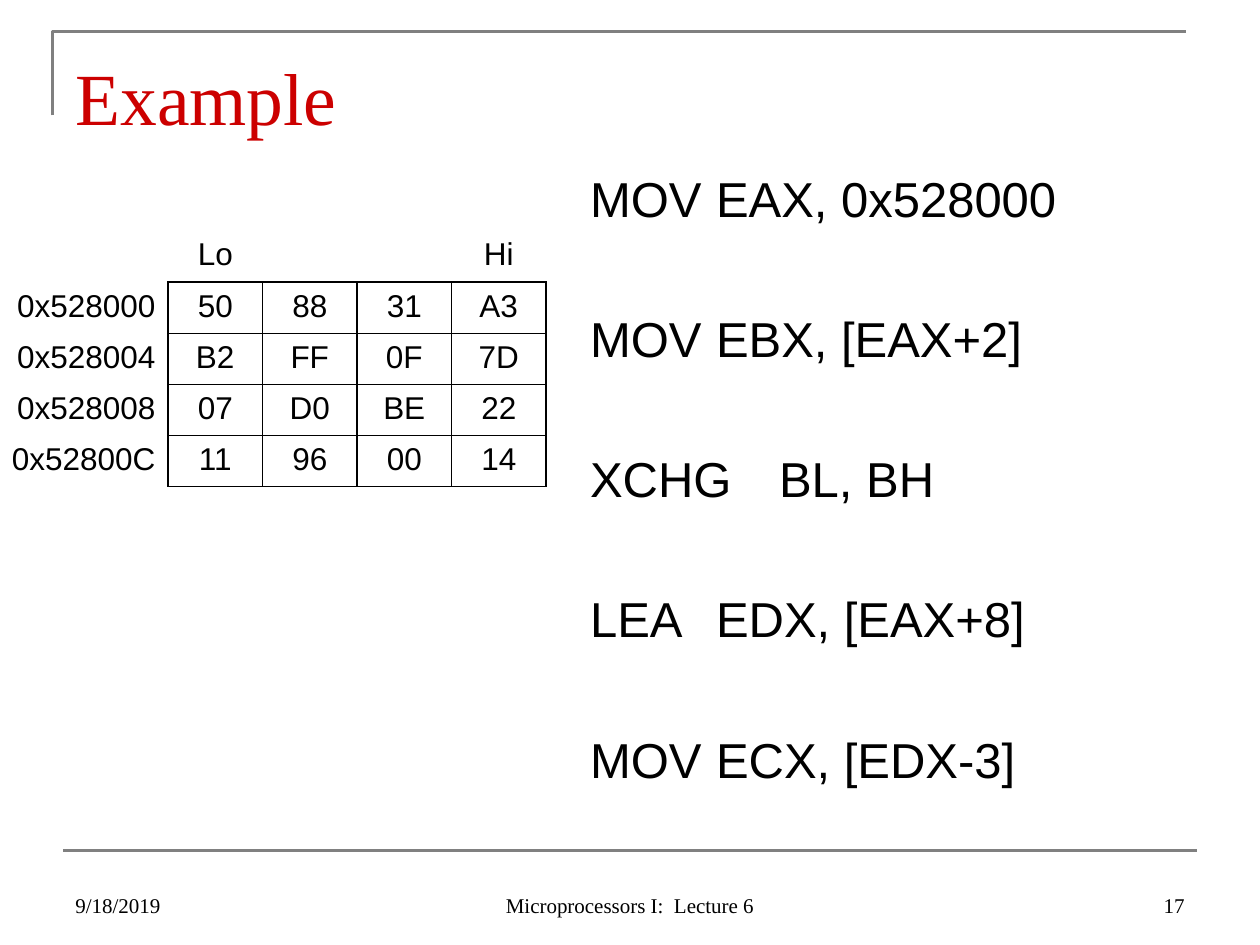
from dataclasses import dataclass

from lxml.etree import SubElement as Sub
from pptx import Presentation
from pptx.dml.color import RGBColor as Rgb
from pptx.enum.shapes import MSO_CONNECTOR as Link
from pptx.enum.text import MSO_ANCHOR as Anchor, MSO_AUTO_SIZE as Fit, PP_ALIGN as Align
from pptx.oxml.ns import qn
from pptx.util import Pt


@dataclass(frozen=True)
class Theme:
    red: str = "CC0000"
    black: str = "000000"
    grey: str = "808080"
    serif: str = "Times New Roman"
    sans: str = "Arial"
    head: int = 42
    code: int = 28
    cell: int = 18
    foot: int = 12


LOOK = Theme()
MEMORY = [
    ("", "Lo", "", "", "Hi"),
    ("0x528000", "50", "88", "31", "A3"),
    ("0x528004", "B2", "FF", "0F", "7D"),
    ("0x528008", "07", "D0", "BE", "22"),
    ("0x52800C", "11", "96", "00", "14"),
]
CODE = [
    ("MOV", "EAX, 0x528000"),
    ("MOV", "EBX, [EAX+2]"),
    ("XCHG", "BL, BH"),
    ("LEA", "EDX, [EAX+8]"),
    ("MOV", "ECX, [EDX-3]"),
]
FOOTER = [
    (36, 168, "9/18/2019", Align.LEFT),
    (246, 228, "Microprocessors I:  Lecture 6", Align.CENTER),
    (516, 168, "17", Align.RIGHT),
]


def place(shape, left, top, width, height):
    shape.left, shape.top = Pt(left), Pt(top)
    shape.width, shape.height = Pt(width), Pt(height)


def write(para, text, size, face, color=LOOK.black, align=Align.LEFT):
    para.alignment = align
    run = para.add_run()
    run.text = text
    run.font.size = Pt(size)
    run.font.name = face
    run.font.color.rgb = Rgb.from_string(color)


def set_frame(frame, anchor, top=3.6):
    frame.word_wrap = True
    frame.auto_size = Fit.NONE
    frame.vertical_anchor = anchor
    frame.margin_top = Pt(top)


def stroke(shape):
    shape.line.color.rgb = Rgb.from_string(LOOK.grey)
    shape.line.width = Pt(1.5)


def add_rules(shapes):
    pen = shapes.build_freeform(Pt(30), Pt(66), scale=Pt(1))
    pen = shapes.build_freeform(30, 66, scale=Pt(1))
    pen.add_line_segments([(30, 18), (678, 18)], close=False)
    corner = pen.convert_to_shape()
    corner.fill.background()
    corner.shadow.inherit = False
    stroke(corner)
    base = shapes.add_connector(Link.STRAIGHT, Pt(36), Pt(486), Pt(684), Pt(486))
    stroke(base)
    Sub(base._element.spPr, qn("a:effectLst"))


def add_title(shape, text):
    place(shape, 36, 21.6, 648, 56.2)
    set_frame(shape.text_frame, Anchor.TOP, 8.2)
    shape.text_frame.margin_bottom = 0
    write(shape.text_frame.paragraphs[0], text, LOOK.head, LOOK.serif, LOOK.red)


def set_edges(cell, shown):
    props = cell._tc.get_or_add_tcPr()
    for side in "LRTB":
        edge = Sub(props, qn(f"a:ln{side}"), w=str(Pt(1)))
        if side in shown:
            fill = Sub(edge, qn("a:solidFill"))
            Sub(fill, qn("a:srgbClr"), val=LOOK.black)
        else:
            Sub(edge, qn("a:noFill"))


def add_grid(shapes):
    rows, cols = len(MEMORY), len(MEMORY[0])
    frame = shapes.add_table(rows, cols, Pt(-30), Pt(132), Pt(342), Pt(146.25))
    table = frame.table
    table.first_row = table.horz_banding = False
    for c, col in enumerate(table.columns):
        col.width = Pt(54 if c else 126)
    for r, line in enumerate(MEMORY):
        table.rows[r].height = Pt(29.25)
        for c, text in enumerate(line):
            cell = table.cell(r, c)
            if r and c:
                shown = "LRTB"
            else:
                shown = "R" if r else "B" if c else ""
            set_edges(cell, shown)
            cell.fill.background()
            if text:
                align = Align.CENTER if c else Align.RIGHT
                write(cell.text_frame.paragraphs[0], text, LOOK.cell, LOOK.sans, align=align)


def add_code(shape):
    place(shape, 330, 90, 354, 392.4)
    frame = shape.text_frame
    set_frame(frame, Anchor.TOP, 6.5)
    for i, parts in enumerate(CODE):
        para = frame.add_paragraph() if i else frame.paragraphs[0]
        props = para._p.get_or_add_pPr()
        props.set("marL", "0")
        props.set("indent", "0")
        Sub(props, qn("a:buNone"))
        tabs = Sub(props, qn("a:tabLst"))
        Sub(tabs, qn("a:tab"), pos=str(Pt(93.5)), algn="l")
        para.space_before = Pt(46.4 if i else 0)
        write(para, "\t".join(parts), LOOK.code, LOOK.sans)


def add_foot(shapes, left, width, text, align):
    box = shapes.add_textbox(Pt(left), Pt(492), Pt(width), Pt(36))
    set_frame(box.text_frame, Anchor.BOTTOM)
    write(box.text_frame.paragraphs[0], text, LOOK.foot, LOOK.serif, align=align)


def main():
    deck = Presentation()
    deck.slide_width, deck.slide_height = Pt(720), Pt(540)
    slide = deck.slides.add_slide(deck.slide_layouts[1])
    shapes = slide.shapes
    add_rules(shapes)
    add_title(shapes.title, "Example")
    add_grid(shapes)
    add_code(slide.placeholders[1])
    for item in FOOTER:
        add_foot(shapes, *item)
    deck.save("out.pptx")


if __name__ == "__main__":
    main()
